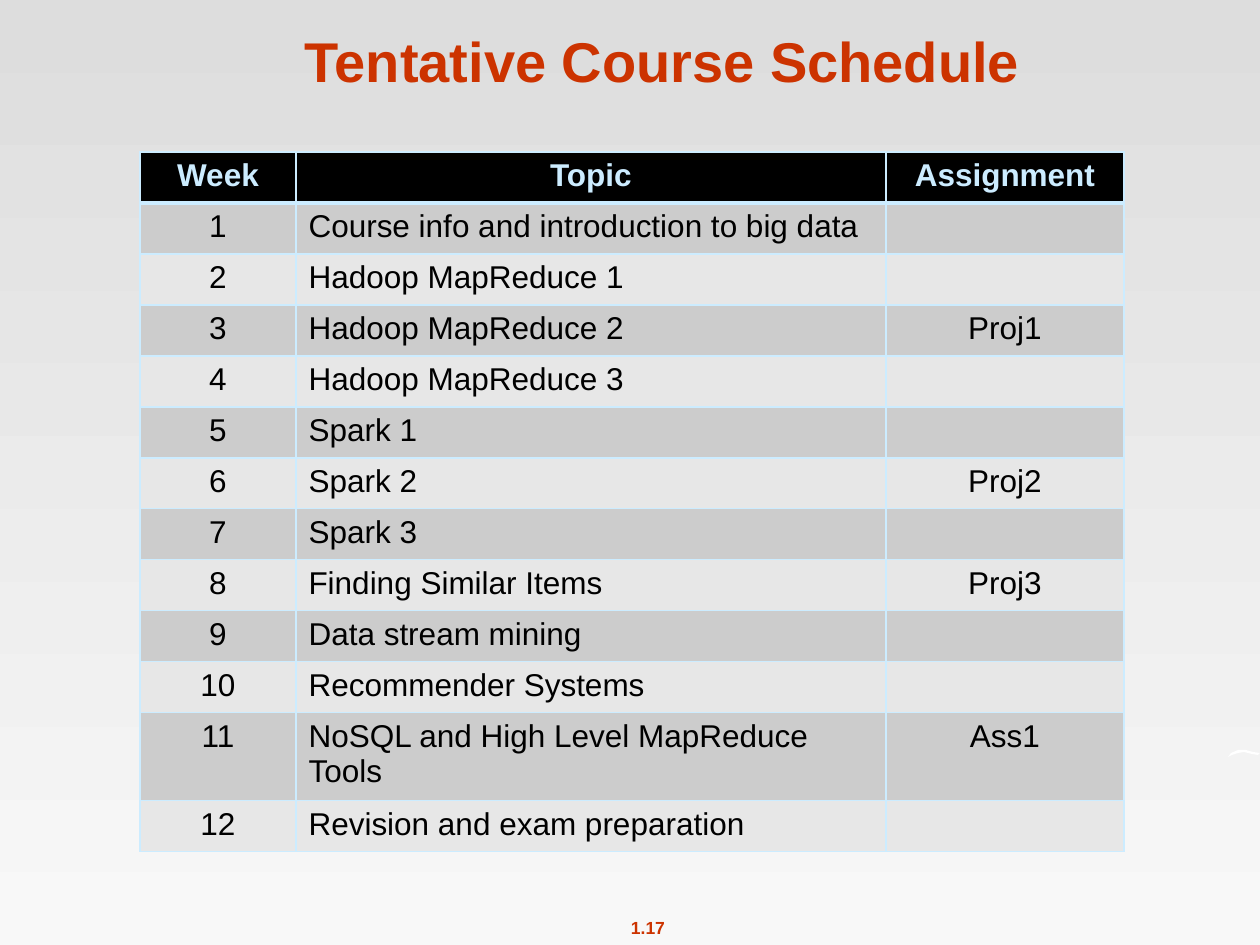
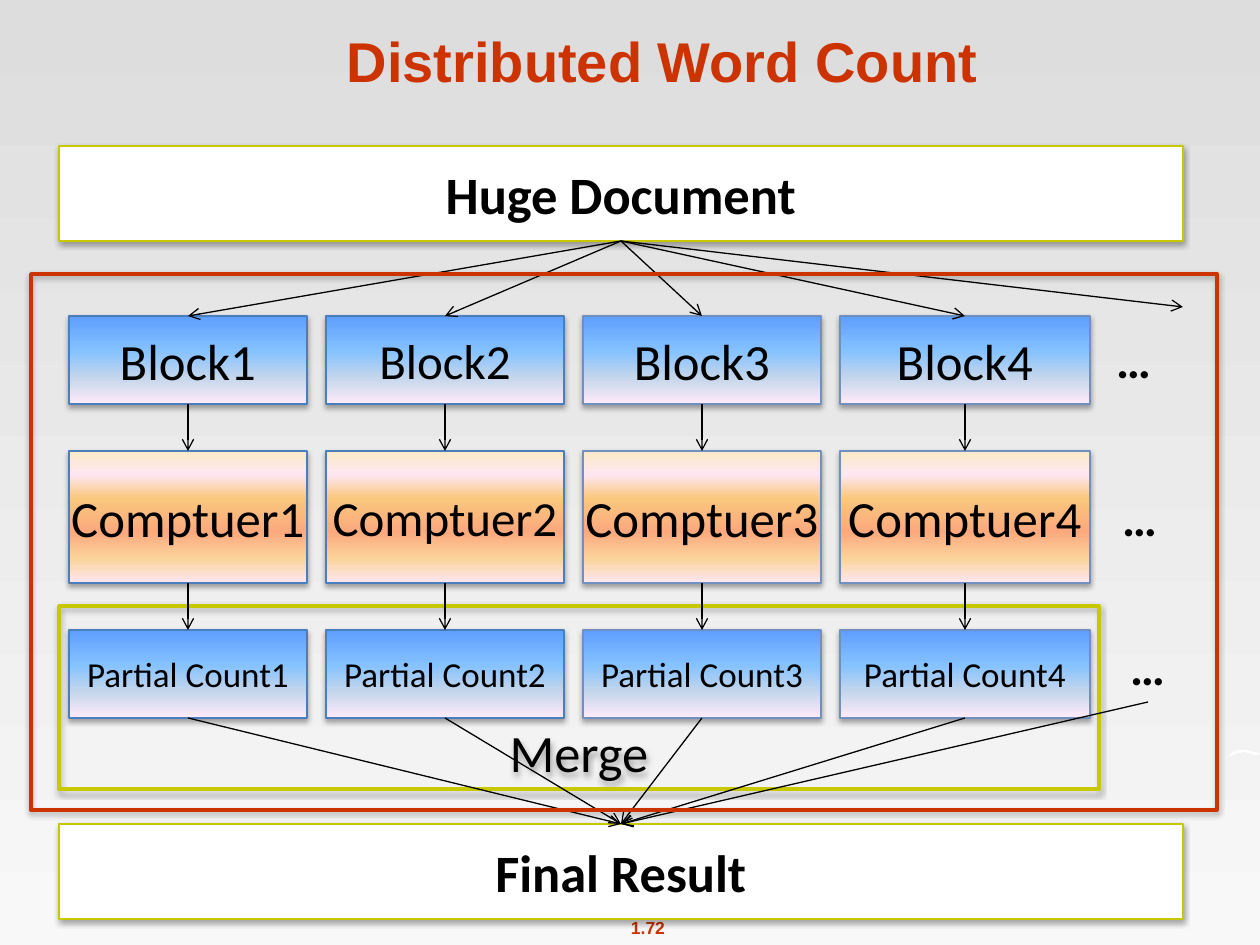
"""Build the course schedule and distributed word count slides."""
from typing import NamedTuple

from lxml.etree import SubElement
from pptx import Presentation
from pptx.dml.color import RGBColor
from pptx.dml.fill import FillFormat
from pptx.enum.shapes import MSO_CONNECTOR, MSO_SHAPE
from pptx.enum.text import MSO_ANCHOR, MSO_AUTO_SIZE, PP_ALIGN
from pptx.oxml.ns import qn
from pptx.oxml.xmlchemy import BaseOxmlElement
from pptx.shapes.autoshape import Shape
from pptx.slide import Slide
from pptx.table import _Cell
from pptx.text.text import _Paragraph
from pptx.util import Emu, Pt

PX = 914400 / 126
COLORS = {
    "red": "CC3300", "olive": "C8C800", "black": "000000", "white": "FFFFFF",
    "ice": "CCECFF", "odd": "CCCCCC", "even": "E7E7E7",
    "blue": "4B7EBC", "slate": "7090C1",
}
BACKDROP = [(0, "DDDDDD"), (100, "F8F8F8")]
SKY = [(0, "5E9EFF"), (40, "85C2FF"), (70, "C4D6EB"), (100, "FFEBFA")]
PEACH = [(0, "FBEAC7"), (18, "FEE7F2"), (36, "FAC77D"),
         (61, "FBA97D"), (82, "FBD49C"), (100, "FEE7F2")]
SWOOSH = [(1228, 757), (1231, 753), (1238, 750), (1246, 750), (1253, 752), (1260, 753),
          (1258, 755), (1252, 754), (1244, 752), (1238, 753), (1232, 755)]
HEADER = ("Week", "Topic", "Assignment")
TOPICS = [
    "Course info and introduction to big data", "Hadoop MapReduce 1", "Hadoop MapReduce 2",
    "Hadoop MapReduce 3", "Spark 1", "Spark 2", "Spark 3", "Finding Similar Items",
    "Data stream mining", "Recommender Systems", "NoSQL and High Level MapReduce Tools",
    "Revision and exam preparation",
]
ASSIGNMENTS = {3: "Proj1", 6: "Proj2", 8: "Proj3", 11: "Ass1"}
COLUMN_WIDTHS = (156, 590, 238)
ROW_HEIGHT, SHORT_ROW_HEIGHT, SHORT_WEEK = 51, 41, 6


class Area(NamedTuple):
    """A rectangle in px."""
    x: int
    y: int
    w: int
    h: int

    def emu(self) -> list[Emu]:
        """Return left, top, width and height in EMU."""
        return [px(n) for n in self]


class Stage(NamedTuple):
    """A row of numbered boxes and its ellipsis."""
    label: str
    y: int
    h: int
    stops: list[tuple[int, str]]
    sizes: tuple[int, ...]
    dots: Area


class Lane(NamedTuple):
    """A column of the word count diagram."""
    x: int
    w: int
    line: str

    @property
    def mid(self) -> int:
        """Return the horizontal centre."""
        return self.x + self.w // 2


LANES = [Lane(69 + 257 * i, w, line) for i, (w, line) in enumerate(
    [(238, "blue"), (238, "blue"), (238, "slate"), (250, "slate")])]
STAGES = [
    Stage("Block", 316, 88, SKY, (29, 28, 29, 29), Area(1099, 323, 69, 76)),
    Stage("Comptuer", 451, 132, PEACH, (29, 28, 29, 29), Area(1105, 481, 69, 72)),
    Stage("Partial Count", 630, 88, SKY, (20, 20, 20, 20), Area(1113, 630, 69, 72)),
]
DOCUMENT = Area(59, 146, 1124, 95)
RESULT = Area(59, 824, 1124, 95)


def px(n: int) -> Emu:
    """Convert px to EMU."""
    return Emu(round(n * PX))


def rgb(name: str) -> RGBColor:
    """Look up a colour by name."""
    return RGBColor.from_string(COLORS[name])


def set_gradient(fill: FillFormat, element: BaseOxmlElement, stops: list[tuple[int, str]]) -> None:
    """Fill from top to bottom with the given stops."""
    fill.gradient()
    fill.gradient_angle = 270
    stop_list = element.find(".//" + qn("a:gsLst"))
    for gs in list(stop_list):
        stop_list.remove(gs)
    for percent, color in stops:
        gs = SubElement(stop_list, qn("a:gs"), pos=str(percent * 1000))
        SubElement(gs, qn("a:srgbClr"), val=color)


def write(p: _Paragraph, text: str, size: int, color: str = "black", bold: bool = False,
          font: str = "Arial", align: PP_ALIGN = PP_ALIGN.CENTER) -> None:
    """Set the text and format of a paragraph."""
    p.text = text
    p.alignment = align
    p.font.name, p.font.size, p.font.bold = font, Pt(size), bold
    p.font.color.rgb = rgb(color)


def add_label(s: Slide, area: Area, text: str, size: int, color: str, font: str) -> None:
    """Add a bold text box that does not wrap."""
    tf = s.shapes.add_textbox(*area.emu()).text_frame
    tf.word_wrap = False
    write(tf.paragraphs[0], text, size, color, True, font)


def add_box(s: Slide, area: Area, line: str, width: float = 0.75, text: str = "",
            size: int = 30, bold: bool = False) -> Shape:
    """Add an unfilled rectangle with a soft shadow."""
    sp = s.shapes.add_shape(MSO_SHAPE.RECTANGLE, *area.emu())
    sp.fill.background()
    sp.line.color.rgb = rgb(line)
    sp.line.width = Pt(width)
    sp.shadow.inherit = False
    shadow = SubElement(sp.element.spPr.find(qn("a:effectLst")), qn("a:outerShdw"),
                        blurRad="40000", dist="23000", dir="5400000", rotWithShape="0")
    color = SubElement(shadow, qn("a:srgbClr"), val=COLORS["black"])
    SubElement(color, qn("a:alpha"), val="35000")
    if text:
        tf = sp.text_frame
        tf.margin_left = tf.margin_right = 0
        tf.vertical_anchor = MSO_ANCHOR.MIDDLE
        write(tf.paragraphs[0], text, size, bold=bold, font="Calibri")
    return sp


def add_arrow(s: Slide, start: tuple[int, int], end: tuple[int, int]) -> None:
    """Add a thin black arrow."""
    cx = s.shapes.add_connector(MSO_CONNECTOR.STRAIGHT, *[px(n) for n in start + end])
    cx.line.color.rgb = rgb("black")
    cx.line.width = Pt(0.75)
    SubElement(cx.line._get_or_add_ln(), qn("a:tailEnd"), type="arrow")
    SubElement(cx.element.spPr, qn("a:effectLst"))


def add_titled_slide(prs: Presentation, title: str, number: str) -> Slide:
    """Add a slide with its title, page number and swoosh."""
    s = prs.slides.add_slide(prs.slide_layouts[5])
    sp = s.shapes.title
    sp.left, sp.top, sp.width, sp.height = Area(106, 16, 1113, 84).emu()
    tf = sp.text_frame
    tf.auto_size = MSO_AUTO_SIZE.NONE
    tf.vertical_anchor = MSO_ANCHOR.BOTTOM
    write(tf.paragraphs[0], title, 32, "red", True)
    add_label(s, Area(617, 911, 62, 34), number, 10, "red", "Arial")
    builder = s.shapes.build_freeform(*SWOOSH[0], scale=PX)
    builder.add_line_segments(SWOOSH[1:])
    swoosh = builder.convert_to_shape()
    swoosh.fill.solid()
    swoosh.fill.fore_color.rgb = rgb("white")
    swoosh.line.fill.background()
    swoosh.shadow.inherit = False
    return s


def format_cell(cell: _Cell, fill: str, top: int, bottom: int) -> None:
    """Fill a cell and draw its borders."""
    cell.fill.solid()
    cell.fill.fore_color.rgb = rgb(fill)
    tc_pr = cell._tc.get_or_add_tcPr()
    for i, (side, width) in enumerate(zip("LRTB", (1, 1, top, bottom))):
        ln = SubElement(tc_pr, qn(f"a:ln{side}"), w=str(Pt(width)))
        SubElement(SubElement(ln, qn("a:solidFill")), qn("a:srgbClr"), val=COLORS["ice"])
        tc_pr.insert(i, ln)


def build_schedule(prs: Presentation) -> None:
    """Build the weekly schedule table."""
    s = add_titled_slide(prs, "Tentative Course Schedule", "1.17")
    rows = [HEADER] + [(str(week), topic, ASSIGNMENTS.get(week, ""))
                       for week, topic in enumerate(TOPICS, 1)]
    heights = [SHORT_ROW_HEIGHT if week == SHORT_WEEK else ROW_HEIGHT for week in range(len(rows))]
    area = Area(140, 152, sum(COLUMN_WIDTHS), sum(heights))
    table = s.shapes.add_table(len(rows), len(HEADER), *area.emu()).table
    for column, width in zip(table.columns, COLUMN_WIDTHS):
        column.width = px(width)
    for week, texts in enumerate(rows):
        table.rows[week].height = px(heights[week])
        is_header = week == 0
        fill = "black" if is_header else "odd" if week % 2 else "even"
        for col, text in enumerate(texts):
            cell = table.cell(week, col)
            format_cell(cell, fill, 3 if week == 1 else 1, 3 if is_header else 1)
            align = PP_ALIGN.LEFT if col == 1 and not is_header else PP_ALIGN.CENTER
            write(cell.text_frame.paragraphs[0], text, 18,
                  "ice" if is_header else "black", is_header, align=align)


def build_word_count(prs: Presentation) -> None:
    """Build the split, count and merge diagram."""
    s = add_titled_slide(prs, "Distributed Word Count", "1.72")
    merge = add_box(s, Area(59, 606, 1040, 183), "olive", 2, "Merge")
    merge.text_frame.vertical_anchor = MSO_ANCHOR.BOTTOM
    for stage in STAGES:
        for i, lane in enumerate(LANES):
            sp = add_box(s, Area(lane.x, stage.y, lane.w, stage.h), lane.line,
                         text=f"{stage.label}{i + 1}", size=stage.sizes[i])
            set_gradient(sp.fill, sp.element, stage.stops)
        add_label(s, stage.dots, "…", 28, "black", "Calibri")
    for area, text in ((DOCUMENT, "Huge Document"), (RESULT, "Final Result")):
        sp = add_box(s, area, "olive", text=text, bold=True)
        sp.fill.solid()
        sp.fill.fore_color.rgb = rgb("white")
    hub = DOCUMENT.x + DOCUMENT.w // 2
    first, last = STAGES[0], STAGES[-1]
    for end in [(lane.mid, first.y) for lane in LANES] + [(1183, 307)]:
        add_arrow(s, (hub, DOCUMENT.y + DOCUMENT.h), end)
    for upper, lower in zip(STAGES, STAGES[1:]):
        for lane in LANES:
            add_arrow(s, (lane.mid, upper.y + upper.h), (lane.mid, lower.y))
    for start in [(lane.mid, last.y + last.h) for lane in LANES] + [(1148, 702)]:
        add_arrow(s, start, (hub, RESULT.y))
    add_box(s, Area(31, 274, 1186, 536), "red", 2)


def main() -> None:
    """Build and save the presentation."""
    prs = Presentation()
    prs.slide_width, prs.slide_height = px(1260), px(945)
    master = prs.slide_master
    set_gradient(master.background.fill, master.element, BACKDROP)
    build_schedule(prs)
    build_word_count(prs)
    prs.save("out.pptx")


if __name__ == "__main__":
    main()
